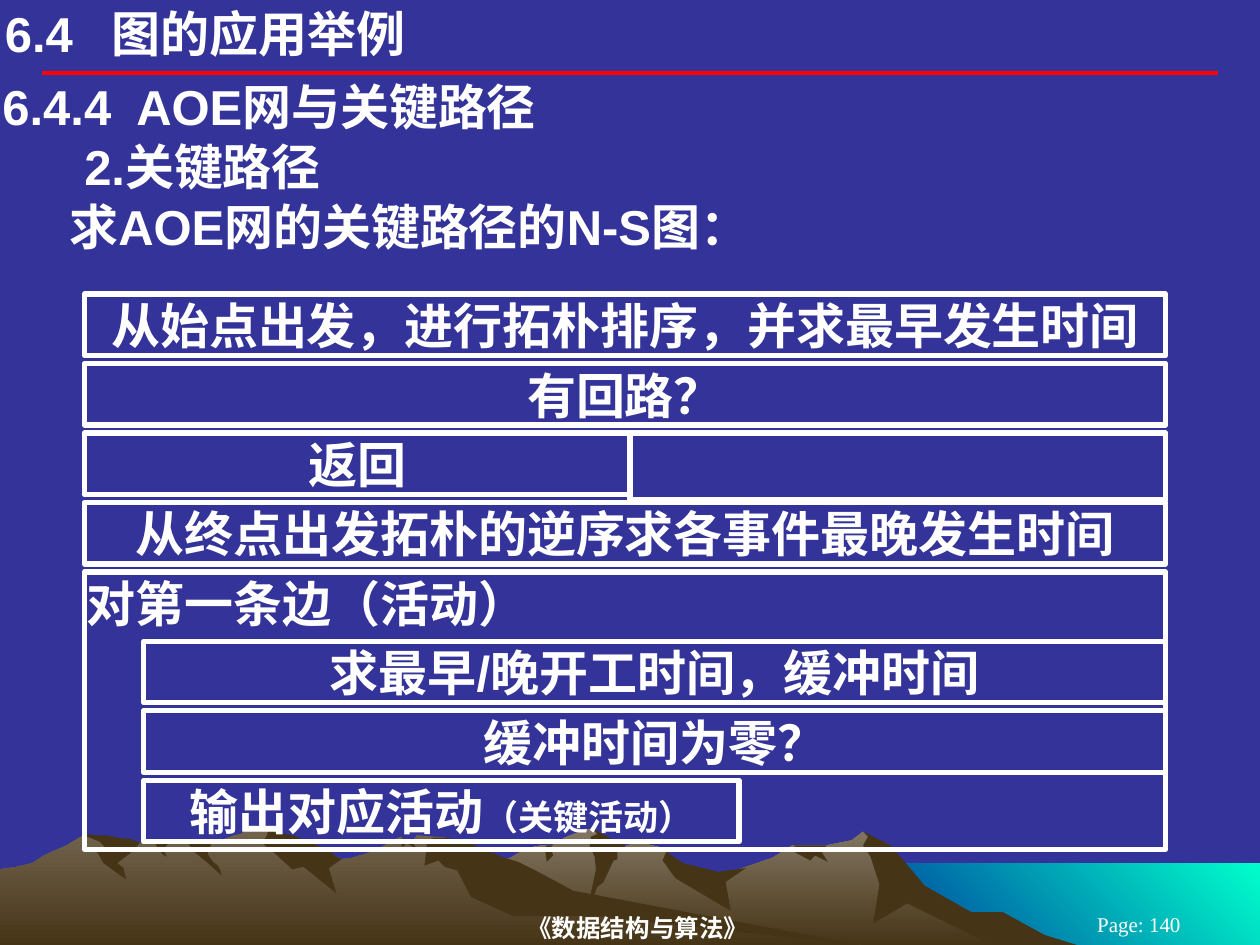
"""Build the slide on the critical path of an AOE network as an N-S chart."""
import pptx
import pptx.dml.color
import pptx.enum.shapes
import pptx.enum.text
import pptx.oxml
import pptx.oxml.ns
import pptx.util

Cm = pptx.util.Cm
Pt = pptx.util.Pt
RGB = pptx.dml.color.RGBColor
Align = pptx.enum.text.PP_ALIGN
Anchor = pptx.enum.text.MSO_ANCHOR
Fit = pptx.enum.text.MSO_AUTO_SIZE
qn = pptx.oxml.ns.qn

BLUE = RGB(0x33, 0x33, 0x99)
WHITE = RGB(0xFF, 0xFF, 0xFF)
RED = RGB(0xFF, 0x00, 0x00)
AQUA = RGB(0x00, 0xFF, 0xCC)
NAVY = RGB(0x00, 0x33, 0x99)
BROWN = RGB(0x46, 0x34, 0x16)
SAND = RGB(0x83, 0x77, 0x63)
STONE = RGB(0x72, 0x64, 0x4E)

UNIT = Cm(0.0254)
ROW = 1.4
TALL = 1.24
LEFT, WIDE = 1.7, 21.8
INNER = 2.9

SEA = "683,685 1000,685 1000,752 683,752"
BACK = """802,740 778,727 764,723 723,698 702,671 685,660 676,667 656,671 629,671
613,681 566,697 536,690 529,676 526,673 509,669 497,671 486,673 474,661 471,658
465,658 450,664 448,665 444,668 438,671 430,671 424,672 418,675 412,677 405,681
399,683 394,685 355,698 327,709 277,739 258,751 821,751"""
FRONT = """690,751 667,748 432,712 354,665 331,663 327,668 323,668 318,664 296,676
279,681 271,682 260,676 236,681 223,663 222,662 219,660 215,659 212,658 195,659
191,662 186,663 178,666 168,669 160,671 148,667 143,667 132,671 128,671 123,669
111,669 94,671 68,662 56,669 53,671 46,674 35,679 26,685 14,688 0,690 0,751"""
FAR = [
    """796,724 771,724 734,703 707,671 685,660 689,664 685,671 691,680 698,702
    693,733 720,717 792,752 858,751 829,742""",
    """471,658 474,662 469,664 468,671 472,680 473,690 465,727 474,704 479,700
    487,683 490,682 490,676 497,671 493,670""",
    "529,676 528,678 526,683 536,697 580,723 576,700 592,689 570,692 542,685",
    """650,671 630,671 631,672 631,675 630,676 643,683 647,679 657,684 652,676
    656,671""",
    "433,677 432,673 434,671 438,671 439,670 437,673 439,679 434,684",
]
NEAR = [
    """212,663 208,669 219,678 232,690 241,688 267,709 261,689 271,682 266,679
    260,674 252,671 245,668 238,665 232,663 226,662 219,661 213,659""",
    """370,668 361,666 354,665 344,665 339,669 337,687 348,683 353,688 363,691
    374,712 407,727 472,727 690,751 683,750 455,707 427,692 411,684 401,681
    386,675""",
    """318,667 320,666 318,664 323,667 327,667 330,673 330,674 326,671 322,669
    322,670 320,672 319,672""",
    """154,667 161,668 168,669 165,676 165,678 169,684 173,687 175,691 176,695
    165,685 154,676 148,667""",
    "133,670 130,674 130,675 132,679 132,680 129,678 126,674 123,669",
    """109,668 111,669 105,676 93,685 98,689 100,698 82,685 77,676 84,673 79,668
    69,664 69,662 77,663 84,663 90,664 94,665 104,666""",
]


def area(slide, text, *tints, angle=270):
    """Draw a closed outline with a plain or a two-stop gradient fill."""
    dots = [tuple(map(int, pair.split(","))) for pair in text.split()]
    maker = slide.shapes.build_freeform(*dots[0], scale=UNIT)
    maker.add_line_segments(dots[1:], close=True)
    shape = maker.convert_to_shape()
    shape.shadow.inherit = False
    shape.line.fill.background()
    if len(tints) == 1:
        shape.fill.solid()
        shape.fill.fore_color.rgb = tints[0]
        return
    shape.fill.gradient()
    shape.fill.gradient_angle = angle
    for stop, tint in zip(shape.fill.gradient_stops, tints):
        stop.color.rgb = tint


def write(shape, runs, font="Arial", bold=True, align=Align.LEFT,
          anchor=Anchor.TOP, fit=Fit.SHAPE_TO_FIT_TEXT, pad=0.05, indent=0, tab=0):
    """Fill a shape with one paragraph made of (text, size) runs."""
    frame = shape.text_frame
    frame.word_wrap = True
    frame.auto_size = fit
    frame.vertical_anchor = anchor
    frame.margin_left = frame.margin_right = Cm(pad)
    frame.margin_top = frame.margin_bottom = Cm(min(pad, 0.03))
    para = frame.paragraphs[0]
    para.alignment = align
    props = para._p.get_or_add_pPr()
    if indent:
        props.set("marL", str(Cm(indent)))
        props.set("indent", "0")
    if tab:
        stops = pptx.oxml.ns.nsdecls("a")
        props.append(pptx.oxml.parse_xml(
            f'<a:tabLst {stops}><a:tab pos="{Cm(tab)}" algn="l"/></a:tabLst>'))
    for text, size in runs:
        run = para.add_run()
        run.text = text
        run.font.size = Pt(size)
        run.font.name = font
        run.font.bold = bold
        run.font.color.rgb = WHITE


def label(slide, place, text, size=28, **style):
    """Add a text box at a place given in centimetres."""
    box = slide.shapes.add_textbox(*map(Cm, place))
    write(box, [(text, size)], **style)


def block(slide, row, runs=(), left=LEFT, wide=WIDE, tall=TALL, **style):
    """Add an outlined block of the N-S chart on the given row."""
    top = 5.93 + ROW * row
    kind = pptx.enum.shapes.MSO_SHAPE.RECTANGLE
    shape = slide.shapes.add_shape(kind, *map(Cm, (left, top, wide, tall)))
    shape.shadow.inherit = False
    shape.fill.background()
    shape.line.color.rgb = WHITE
    shape.line.width = Pt(3)
    if runs:
        write(shape, runs, **{"align": Align.CENTER, **style})


def rule(slide):
    """Draw the red line under the title."""
    kind = pptx.enum.shapes.MSO_CONNECTOR.STRAIGHT
    line = slide.shapes.add_connector(kind, *map(Cm, (0.85, 1.48, 24.55, 1.48)))
    line.line.color.rgb = RED
    line.line.width = Pt(2.25)
    props = line._element.spPr
    props.append(props.makeelement(qn("a:effectLst"), {}))


def scene(slide):
    """Draw the sea and the mountains."""
    area(slide, SEA, AQUA, NAVY, angle=225)
    area(slide, BACK, SAND, BROWN)
    for text in FAR:
        area(slide, text, BROWN)
    area(slide, FRONT, STONE, BROWN)
    for text in NEAR:
        area(slide, text, BROWN)


def heads(slide):
    """Place the title, the headings and the footer."""
    title = slide.shapes.title
    title.left, title.top, title.width, title.height = map(Cm, (0.1, 0.08, 16.5, 1.2))
    write(title, [("6.4\t图的应用举例", 28)], pad=0, tab=2.15)
    label(slide, (0, 1.52, 25.4, TALL), "6.4.4\tAOE网与关键路径", tab=2.7)
    label(slide, (0, 2.72, 25.4, TALL), "2.关键路径", indent=1.65)
    label(slide, (0, 3.94, 25.4, TALL), "求AOE网的关键路径的N-S图：", indent=1.35)
    foot = {"font": "Times New Roman", "align": Align.CENTER,
            "anchor": Anchor.MIDDLE, "fit": Fit.NONE}
    label(slide, (5.16, 18.34, 15.4, 0.71), "《数据结构与算法》", 14, pad=0, **foot)
    label(slide, (20.95, 18.42, 4.02, 0.43), "Page: 140", 12, bold=False, pad=0.25, **foot)


def chart(slide):
    """Draw the N-S chart row by row."""
    half = 11
    block(slide, 0, [("从始点出发，进行拓朴排序，并求最早发生时间", 28)])
    block(slide, 1, [("有回路？", 28)])
    block(slide, 2, [("返回", 28)], wide=half)
    block(slide, 2, left=LEFT + half, wide=WIDE - half, tall=1.35)
    block(slide, 3, [("从终点出发拓朴的逆序求各事件最晚发生时间", 28)])
    block(slide, 4, [("对第一条边（活动）", 28)], tall=5.59, align=Align.LEFT, fit=Fit.NONE)
    wide = LEFT + WIDE - INNER
    block(slide, 5, [("求最早/晚开工时间，缓冲时间", 28)], INNER, wide)
    block(slide, 6, [("缓冲时间为零？", 28)], INNER, wide)
    block(slide, 7, [("输出对应活动", 28), ("（关键活动）", 20)], INNER, 12)


def main():
    """Build the deck and save it."""
    deck = pptx.Presentation()
    deck.slide_width, deck.slide_height = Cm(25.4), Cm(19.05)
    slide = deck.slides.add_slide(deck.slide_layouts[5])
    slide.background.fill.solid()
    slide.background.fill.fore_color.rgb = BLUE
    scene(slide)
    rule(slide)
    heads(slide)
    chart(slide)
    deck.save("out.pptx")


if __name__ == "__main__":
    main()
